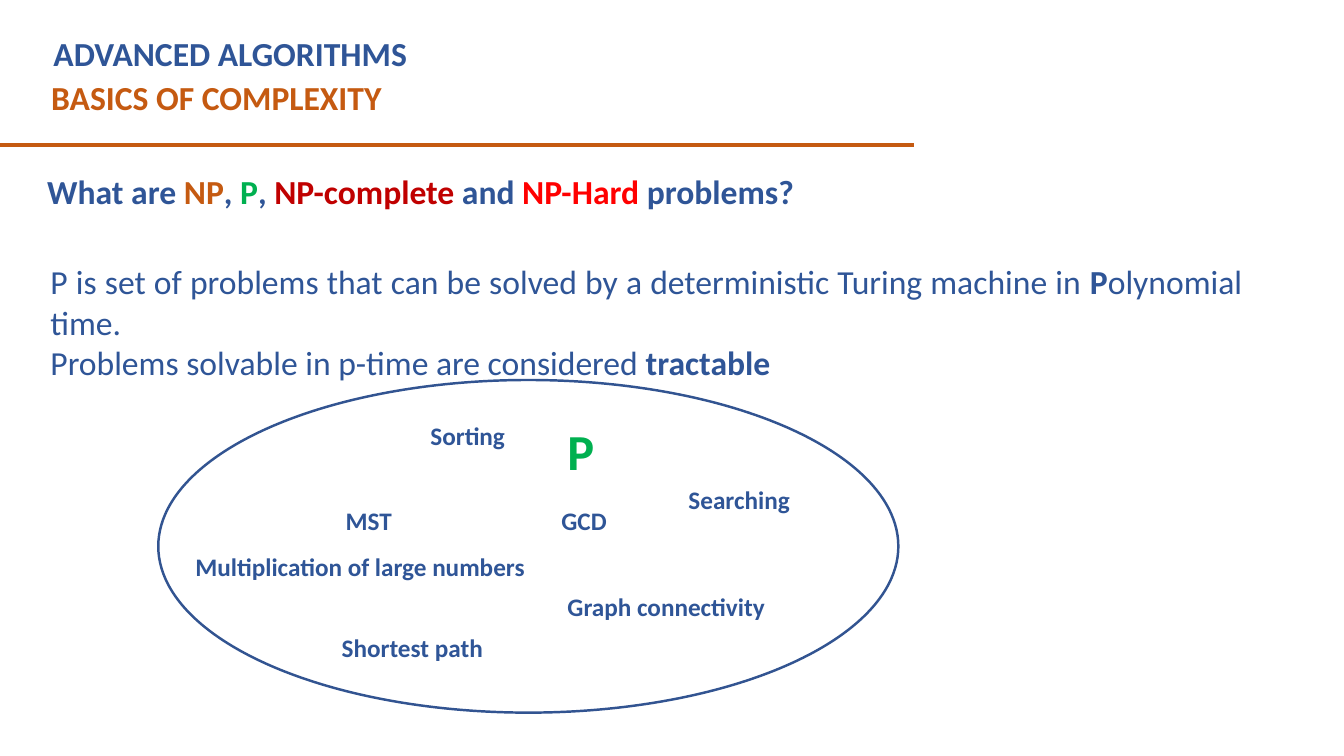
from pptx import Presentation, util as u
from pptx.dml.color import RGBColor
from pptx.enum import shapes, text
from lxml import etree

WIDTH, HEIGHT = 13.33, 7.5
BLUE, ORANGE, GREEN = "2F5597", "C55A11", "00B050"
OUTLINE = "325491"

COURSE = ("ADVANCED ALGORITHMS", (0.43, 0.28, 8.2, 0.5))
TOPIC = ("BASICS OF COMPLEXITY", (0.41, 0.71, 8.75, 0.5))
RULE = (-0.01, 9.07, 1.44)

QUESTION_BOX = (0.37, 1.65, 10.2, 0.9)
QUESTION = [
    ("What are ", BLUE), ("NP", ORANGE), (", ", BLUE), ("P", GREEN),
    (", ", BLUE), ("NP-complete", "C00000"), (" and ", BLUE),
    ("NP-Hard", "FF0000"), (" problems?", BLUE),
]

DEFINITION_BOX = (0.4, 2.54, 12.02, 1.3)
DEFINITION = [
    [("P is set of problems that can be solved by a deterministic Turing machine in ", False),
     ("P", True), ("olynomial time.", False)],
    [("Problems solvable in p-time are considered ", False), ("tractable", True)],
]

CLASS_OVAL = (1.57, 3.77, 7.34, 3.3)
CLASS_LABELS = [
    ("Sorting", (4.17, 4.12, 1.45, 0.4), 18, BLUE),
    ("Searching", (6.73, 4.76, 1.45, 0.7), 18, BLUE),
    ("Multiplication of large numbers", (1.84, 5.42, 3.9, 0.7), 18, BLUE),
    ("MST", (3.33, 4.96, 1.45, 0.4), 18, BLUE),
    ("GCD", (5.47, 4.96, 1.45, 0.4), 18, BLUE),
    ("Graph connectivity", (5.53, 5.82, 2.18, 0.7), 18, BLUE),
    ("Shortest path", (3.29, 6.22, 2.18, 0.4), 18, BLUE),
    ("P", (5.53, 4.12, 1.09, 0.7), 36, GREEN),
]


def color(value):
    return RGBColor.from_string(value)


def inches(box):
    return [u.Inches(length) for length in box]


def set_frame(shape):
    frame = shape.text_frame
    frame.word_wrap = True
    frame.auto_size = text.MSO_AUTO_SIZE.NONE
    frame.vertical_anchor = text.MSO_ANCHOR.TOP
    return frame


def set_font(paragraph, size, value, bold=None):
    font = paragraph.font
    font.name, font.size, font.bold = "Calibri", u.Pt(size), bold
    font.color.rgb = color(value)


def place(placeholder, box):
    placeholder.left, placeholder.top, placeholder.width, placeholder.height = inches(box)
    return set_frame(placeholder)


def add_label(container, words, box, size, value):
    paragraph = set_frame(container.add_textbox(*inches(box))).paragraphs[0]
    paragraph.text = words
    set_font(paragraph, size, value, True)


def add_heading(slide):
    title = place(slide.shapes.title, COURSE[1]).paragraphs[0]
    title.text = COURSE[0]
    title.alignment = text.PP_ALIGN.LEFT
    set_font(title, 24, BLUE, True)
    add_label(slide.shapes, *TOPIC, 24, ORANGE)

    left, right, top = RULE
    rule = slide.shapes.add_connector(
        shapes.MSO_CONNECTOR.STRAIGHT, *inches((left, top, right, top)))
    rule.line.color.rgb = color(ORANGE)
    rule.line.width = u.Pt(3)
    namespace = "http://schemas.openxmlformats.org/drawingml/2006/main"
    etree.SubElement(rule._element.spPr, f"{{{namespace}}}effectLst")


def add_question(slide):
    box = slide.shapes.add_textbox(*inches(QUESTION_BOX))
    paragraph = set_frame(box).paragraphs[0]
    set_font(paragraph, 24, BLUE, True)
    for words, value in QUESTION:
        run = paragraph.add_run()
        run.text = words
        run.font.color.rgb = color(value)


def add_definition(slide):
    frame = place(slide.placeholders[1], DEFINITION_BOX)
    for index, runs in enumerate(DEFINITION):
        paragraph = frame.add_paragraph() if index else frame.paragraphs[0]
        properties = paragraph._p.get_or_add_pPr()
        properties.set("marL", "0")
        properties.set("indent", "0")
        namespace = "http://schemas.openxmlformats.org/drawingml/2006/main"
        etree.SubElement(properties, f"{{{namespace}}}buNone")
        paragraph.alignment = text.PP_ALIGN.JUSTIFY
        paragraph.space_before = u.Pt(0)
        set_font(paragraph, 24, BLUE)
        for words, bold in runs:
            run = paragraph.add_run()
            run.text = words
            run.font.bold = bold


def add_class_diagram(slide):
    group = slide.shapes.add_group_shape()
    oval = group.shapes.add_shape(shapes.MSO_SHAPE.OVAL, *inches(CLASS_OVAL))
    oval.shadow.inherit = False
    oval.fill.background()
    oval.line.color.rgb = color(OUTLINE)
    oval.line.width = u.Pt(1.75)
    for label in CLASS_LABELS:
        add_label(group.shapes, *label)


def main():
    presentation = Presentation()
    presentation.slide_width, presentation.slide_height = inches((WIDTH, HEIGHT))
    slide = presentation.slides.add_slide(presentation.slide_layouts[1])
    add_heading(slide)
    add_question(slide)
    add_definition(slide)
    add_class_diagram(slide)
    presentation.save("out.pptx")


if __name__ == "__main__":
    main()
